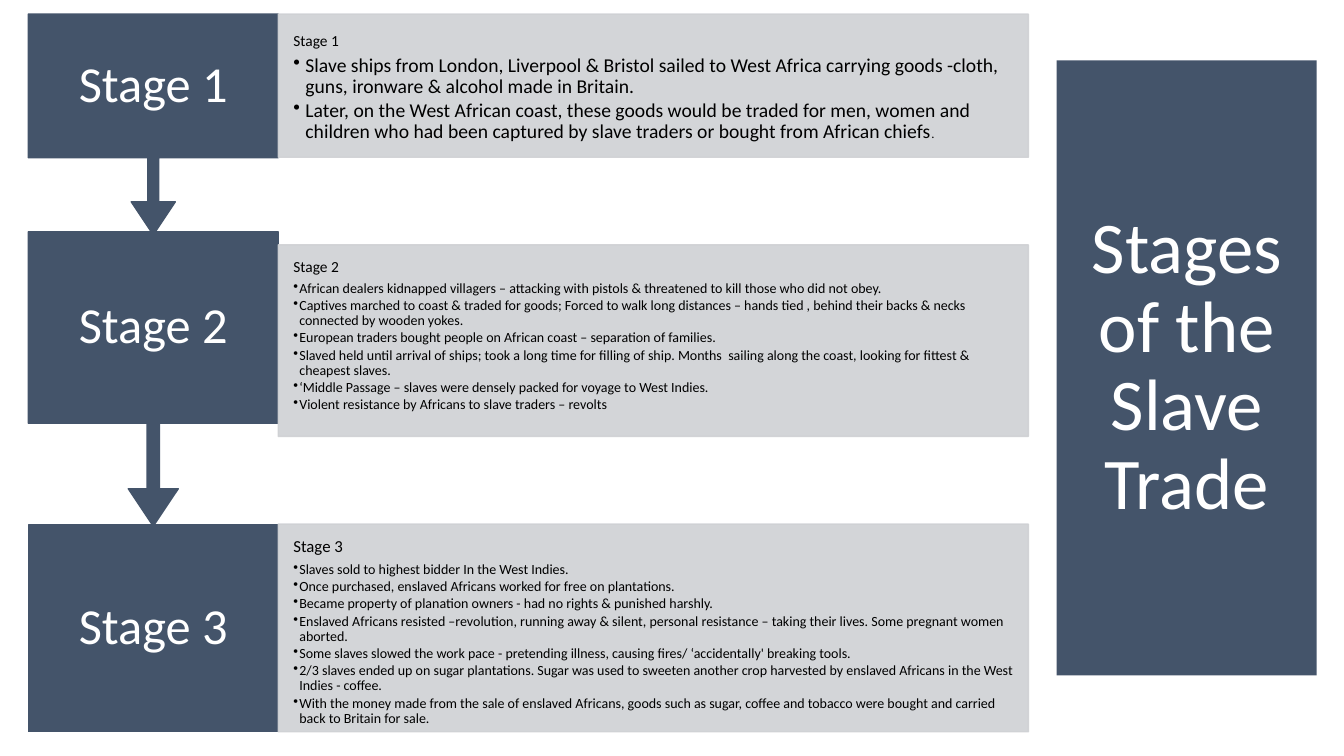
from dataclasses import dataclass

import pptx
import pptx.dml.color
import pptx.enum.shapes
import pptx.enum.text
import pptx.oxml
import pptx.oxml.ns
import pptx.oxml.xmlchemy
import pptx.shapes.autoshape
import pptx.slide
import pptx.text.text
import pptx.util

Inches = pptx.util.Inches
Pt = pptx.util.Pt
SHAPE = pptx.enum.shapes.MSO_SHAPE
ANCHOR = pptx.enum.text.MSO_ANCHOR
ALIGN = pptx.enum.text.PP_ALIGN

NAVY, GREY, WHITE, BLACK = "44546A", "CFD1D4", "FFFFFF", "000000"
FONT = "Calibri"
STAGE_LEFT, STAGE_WIDTH = 0.28, 2.48
DETAIL_LEFT, DETAIL_WIDTH = 2.76, 7.44
BODY_SHARE = 0.65  # part of a callout's height above its arrow


@dataclass
class Stage:
    name: str
    top: float
    height: float
    has_arrow: bool
    detail_top: float
    detail_height: float
    margin: float
    heading_size: float
    point_size: float
    indent: float
    points: list[str]
    full_stop_size: float = 0  # a smaller full stop after the last point


STAGES = [
    Stage("Stage 1", 0.14, 2.19, True, 0.14, 1.42, 0.19, 11, 14, 0.12, [
        "Slave ships from London, Liverpool & Bristol sailed to West Africa carrying goods -cloth, "
        "guns, ironware & alcohol made in Britain.",
        "Later, on the West African coast, these goods would be traded for men, women and children "
        "who had been captured by slave traders or bought from African chiefs",
    ], full_stop_size=9),
    Stage("Stage 2", 2.3, 2.92, True, 2.43, 1.9, 0.14, 11, 10, 0.06, [
        "African dealers kidnapped villagers – attacking with pistols & threatened to kill those "
        "who did not obey.",
        "Captives marched to coast & traded for goods; Forced to walk long distances – hands tied , "
        "behind their backs & necks connected by wooden yokes.",
        "European traders bought people on African coast – separation of families.",
        "Slaved held until arrival of ships; took a long time for filling of ship. Months  sailing "
        "along the coast, looking for fittest & cheapest slaves.",
        "‘Middle Passage – slaves were densely packed for voyage to West Indies.",
        "Violent resistance by Africans to slave traders – revolts",
    ]),
    Stage("Stage 3", 5.21, 2.05, False, 5.2, 2.06, 0.14, 12, 10, 0.06, [
        "Slaves sold to highest bidder In the West Indies.",
        "Once purchased, enslaved Africans worked for free on plantations.",
        "Became property of planation owners - had no rights & punished harshly.",
        "Enslaved Africans resisted –revolution, running away & silent, personal resistance – "
        "taking their lives. Some pregnant women aborted.",
        "Some slaves slowed the work pace - pretending illness, causing fires/ ‘accidentally' "
        "breaking tools.",
        "2/3 slaves ended up on sugar plantations. Sugar was used to sweeten another crop harvested "
        "by enslaved Africans in the West Indies - coffee.",
        "With the money made from the sale of enslaved Africans, goods such as sugar, coffee and "
        "tobacco were bought and carried back to Britain for sale.",
    ]),
]


def rgb(value: str) -> pptx.dml.color.RGBColor:
    return pptx.dml.color.RGBColor.from_string(value)


def add_block(slide: pptx.slide.Slide, kind: SHAPE, box: tuple[float, ...], color: str,
              alpha: int = 100, outlined: bool = True) -> pptx.shapes.autoshape.Shape:
    block = slide.shapes.add_shape(kind, *map(Inches, box))
    block.shadow.inherit = False
    block.fill.solid()
    block.fill.fore_color.rgb = rgb(color)
    if outlined:
        block.line.width = Pt(1)
        block.line.color.rgb = rgb(color)
    else:
        block.line.fill.background()
    if alpha < 100:
        for tint in block.element.spPr.iter(pptx.oxml.ns.qn("a:srgbClr")):
            opacity = pptx.oxml.xmlchemy.OxmlElement("a:alpha")
            opacity.set("val", str(alpha * 1000))
            tint.append(opacity)
    return block


def set_frame(frame: pptx.text.text.TextFrame, side: float, edge: float, anchor: ANCHOR) -> None:
    frame.word_wrap = True
    frame.vertical_anchor = anchor
    frame.margin_left = frame.margin_right = Inches(side)
    frame.margin_top = frame.margin_bottom = Inches(edge)


def write(paragraph: pptx.text.text._Paragraph, text: str, size: float, color: str,
          align: ALIGN, after: float = 0) -> None:
    paragraph.text = text
    paragraph.alignment = align
    paragraph.line_spacing = 0.9
    paragraph.space_after = Pt(size * after)
    paragraph.font.name = FONT
    paragraph.font.size = Pt(size)
    paragraph.font.color.rgb = rgb(color)


def add_bullet(paragraph: pptx.text.text._Paragraph, indent: float) -> None:
    paragraph.level = 1
    properties = paragraph._p.get_or_add_pPr()
    properties.set("marL", str(Inches(indent)))
    properties.set("indent", str(-Inches(indent)))
    bullet = pptx.oxml.xmlchemy.OxmlElement("a:buChar")
    bullet.set("char", "•")
    properties.insert_element_before(bullet, "a:tabLst", "a:defRPr", "a:extLst")


def add_stage(slide: pptx.slide.Slide, stage: Stage) -> None:
    # Stage block, with an arrow down to the next one
    kind = SHAPE.UP_ARROW_CALLOUT if stage.has_arrow else SHAPE.RECTANGLE
    block = add_block(slide, kind, (STAGE_LEFT, stage.top, STAGE_WIDTH, stage.height), NAVY)
    label_height = stage.height
    if stage.has_arrow:
        block.rotation = 180
        for index, value in enumerate((0.05, 0.1, 0.15, BODY_SHARE)):
            block.adjustments[index] = value
        label_height *= BODY_SHARE

    # Stage name, upright over the block
    label = slide.shapes.add_textbox(
        *map(Inches, (STAGE_LEFT, stage.top, STAGE_WIDTH, label_height))).text_frame
    set_frame(label, 0.18, 0.28, ANCHOR.MIDDLE)
    write(label.paragraphs[0], stage.name, 36, WHITE, ALIGN.CENTER)

    # Details
    box = (DETAIL_LEFT, stage.detail_top, DETAIL_WIDTH, stage.detail_height)
    details = add_block(slide, SHAPE.RECTANGLE, box, GREY, alpha=90).text_frame
    set_frame(details, 0.15, stage.margin, ANCHOR.TOP)
    write(details.paragraphs[0], stage.name, stage.heading_size, BLACK, ALIGN.LEFT, 0.35)
    for text in stage.points:
        point = details.add_paragraph()
        write(point, text, stage.point_size, BLACK, ALIGN.LEFT, 0.15)
        add_bullet(point, stage.indent)
    if stage.full_stop_size:
        full_stop = details.paragraphs[-1].add_run()
        full_stop.text = "."
        full_stop.font.size = Pt(stage.full_stop_size)


def main() -> None:
    deck = pptx.Presentation()
    deck.slide_width, deck.slide_height = Inches(13.33), Inches(7.5)
    slide = deck.slides.add_slide(deck.slide_layouts[6])

    # Title panel
    title = add_block(slide, SHAPE.RECTANGLE, (10.48, 0.6, 2.58, 6.1), NAVY,
                      outlined=False).text_frame
    set_frame(title, 0.1, 0.05, ANCHOR.MIDDLE)
    write(title.paragraphs[0], "Stages of the Slave Trade", 52, WHITE, ALIGN.CENTER)

    # Last stage first, so that each arrow lies over the block it points to
    for stage in reversed(STAGES):
        add_stage(slide, stage)

    deck.save("out.pptx")


if __name__ == "__main__":
    main()
